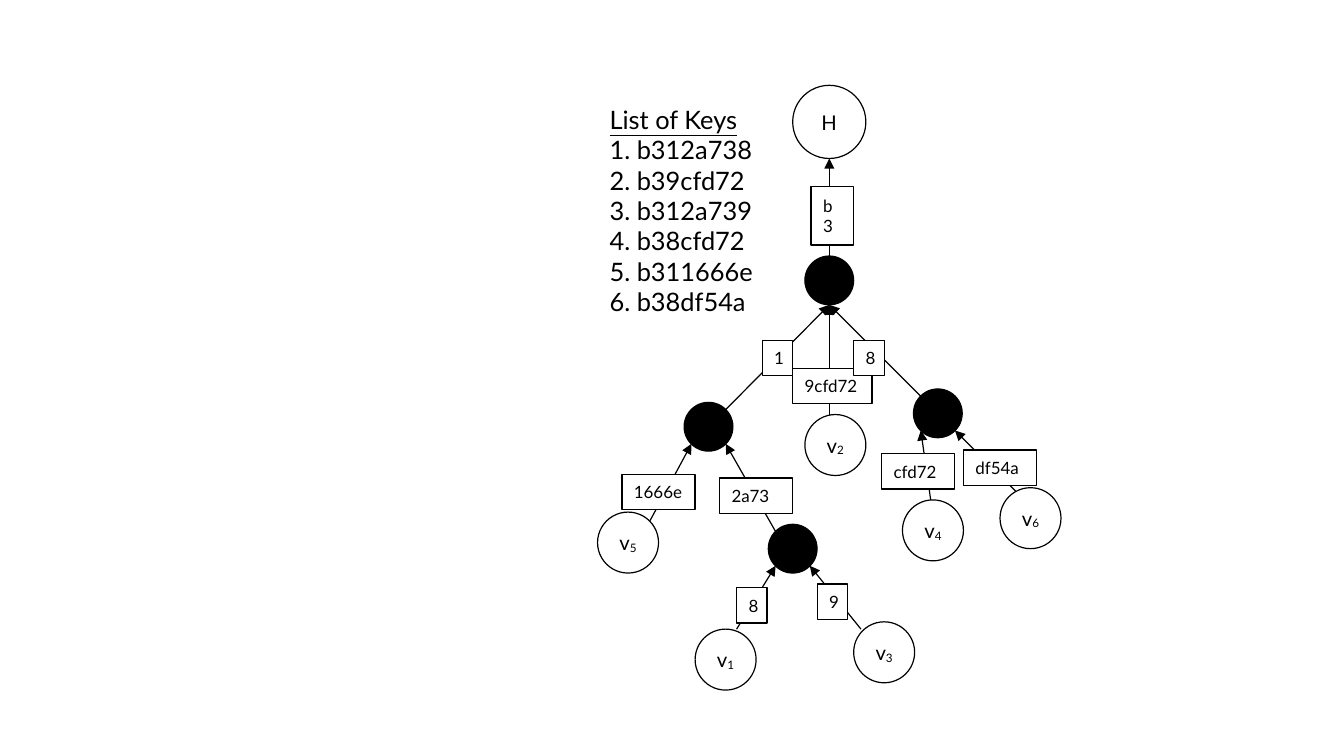
import dataclasses

import pptx
import pptx.dml.color
import pptx.enum.shapes
import pptx.enum.text
import pptx.oxml.ns
import pptx.presentation
import pptx.shapes.autoshape
import pptx.shapes.base
import pptx.slide
import pptx.text.text
import pptx.util
from lxml import etree

COLORS = {"ink": "000000", "paper": "FFFFFF"}
FONT = "Lato"
LINE_WIDTH = 0.71
LABEL_HEIGHT = 0.29
SHAPES = pptx.enum.shapes.MSO_SHAPE
ALIGN = pptx.enum.text.PP_ALIGN


@dataclasses.dataclass(frozen=True)
class Edge:
    child: tuple[float, float]
    parent: tuple[float, float]


@dataclasses.dataclass(frozen=True)
class Node:
    left: float
    top: float
    size: float
    text: str = ""
    subscript: str = ""


@dataclasses.dataclass(frozen=True)
class Label:
    text: str
    left: float
    top: float
    width: float
    height: float = LABEL_HEIGHT


EDGES = [
    Edge((5.95, 3.36), (6.8, 2.5)),
    Edge((6.8, 3.5), (6.8, 2.5)),
    Edge((7.55, 3.25), (6.8, 2.5)),
    Edge((6.8, 2.1), (6.8, 1.3)),
    Edge((5.33, 4.27), (5.67, 3.64)),
    Edge((6.36, 4.36), (5.95, 3.64)),
    Edge((7.06, 5.16), (6.64, 4.64)),
    Edge((6.04, 5.16), (6.36, 4.64)),
    Edge((8.36, 4.06), (7.83, 3.53)),
    Edge((7.64, 4.16), (7.55, 3.53)),
]

ROOT = Node(6.5, 0.7, 0.6, "H")
BRANCHES = [
    Node(left, top, 0.4)
    for left, top in [(6.6, 2.1), (5.61, 3.3), (7.49, 3.19), (6.3, 4.3)]
]
LEAF_CORNERS = [(5.7, 5.16), (6.6, 3.4), (7, 5.1), (7.4, 4.1), (4.9, 4.2), (8.2, 4)]
LEAVES = [
    Node(left, top, 0.5, "v", str(number))
    for number, (left, top) in enumerate(LEAF_CORNERS, start=1)
]

LABELS = [
    Label("b3", 6.65, 1.53, 0.35, 0.48),
    Label("9cfd72", 6.5, 3.02, 0.65),
    Label("8", 7, 2.79, 0.25),
    Label("1", 6.25, 2.79, 0.25),
    Label("1666e", 5.1, 3.89, 0.6),
    Label("2a73", 5.9, 3.92, 0.6),
    Label("8", 6.04, 4.82, 0.25),
    Label("9", 6.7, 4.79, 0.25),
    Label("df54a", 7.9, 3.69, 0.6),
    Label("cfd72", 7.23, 3.72, 0.6),
]

KEYS = ["b312a738", "b39cfd72", "b312a739", "b38cfd72", "b311666e", "b38df54a"]


def rgb(name: str) -> pptx.dml.color.RGBColor:
    return pptx.dml.color.RGBColor.from_string(COLORS[name])


def add_text(
    paragraph: pptx.text.text._Paragraph,
    text: str,
    *,
    size: float,
    align: ALIGN = ALIGN.LEFT,
    underline: bool = False,
    subscript: bool = False,
) -> None:
    paragraph.alignment = align
    run = paragraph.add_run()
    run.text = text
    run.font.name = FONT
    run.font.size = pptx.util.Pt(size)
    run.font.color.rgb = rgb("ink")
    run.font.underline = underline
    if subscript:
        run._r.get_or_add_rPr().set("baseline", "-8000")


def set_frame(shape: pptx.shapes.base.BaseShape, wrap: bool, grow: bool) -> None:
    frame = shape.text_frame
    frame.word_wrap = wrap
    frame.vertical_anchor = pptx.enum.text.MSO_ANCHOR.MIDDLE
    sizes = pptx.enum.text.MSO_AUTO_SIZE
    frame.auto_size = sizes.SHAPE_TO_FIT_TEXT if grow else sizes.NONE


def add_outlined(
    slide: pptx.slide.Slide,
    kind: SHAPES,
    box: tuple[float, float, float, float],
    fill: str,
) -> pptx.shapes.autoshape.Shape:
    shape = slide.shapes.add_shape(kind, *map(pptx.util.Inches, box))
    shape.shadow.inherit = False
    shape.fill.solid()
    shape.fill.fore_color.rgb = rgb(fill)
    shape.line.color.rgb = rgb("ink")
    shape.line.width = pptx.util.Pt(LINE_WIDTH)
    return shape


def draw_edge(slide: pptx.slide.Slide, edge: Edge) -> None:
    arrow = slide.shapes.add_connector(
        pptx.enum.shapes.MSO_CONNECTOR.STRAIGHT,
        *map(pptx.util.Inches, edge.child + edge.parent),
    )
    arrow.line.color.rgb = rgb("ink")
    arrow.line.width = pptx.util.Pt(LINE_WIDTH)
    qn = pptx.oxml.ns.qn
    etree.SubElement(arrow.line._get_or_add_ln(), qn("a:tailEnd"), type="triangle")
    etree.SubElement(arrow._element.spPr, qn("a:effectLst"))


def draw_node(slide: pptx.slide.Slide, node: Node) -> None:
    box = (node.left, node.top, node.size, node.size)
    circle = add_outlined(slide, SHAPES.OVAL, box, "paper" if node.text else "ink")
    if not node.text:
        return
    set_frame(circle, wrap=True, grow=False)
    paragraph = circle.text_frame.paragraphs[0]
    add_text(paragraph, node.text, size=12, align=ALIGN.CENTER)
    if node.subscript:
        add_text(paragraph, node.subscript, size=12, align=ALIGN.CENTER, subscript=True)


def draw_label(slide: pptx.slide.Slide, label: Label) -> None:
    box = (label.left, label.top, label.width, label.height)
    tag = add_outlined(slide, SHAPES.RECTANGLE, box, "paper")
    set_frame(tag, wrap=True, grow=True)
    align = ALIGN.CENTER if len(label.text) == 1 else ALIGN.LEFT
    add_text(tag.text_frame.paragraphs[0], label.text, size=10, align=align)


def draw_key_list(slide: pptx.slide.Slide) -> None:
    key_list = slide.shapes.add_textbox(*map(pptx.util.Inches, (4.9, 0.68, 1.39, 2.09)))
    set_frame(key_list, wrap=False, grow=True)
    frame = key_list.text_frame
    add_text(frame.paragraphs[0], "List of Keys", size=15, underline=True)
    for number, key in enumerate(KEYS, start=1):
        add_text(frame.add_paragraph(), f"{number}. {key}", size=15)


def main() -> None:
    deck = pptx.Presentation()
    deck.slide_width = pptx.util.Inches(11.02)
    deck.slide_height = pptx.util.Inches(6.2)
    slide = deck.slides.add_slide(deck.slide_layouts[6])
    draw_key_list(slide)
    for edge in EDGES:
        draw_edge(slide, edge)
    for node in [ROOT, *BRANCHES, *LEAVES]:
        draw_node(slide, node)
    for label in LABELS:
        draw_label(slide, label)
    deck.save("out.pptx")


if __name__ == "__main__":
    main()
